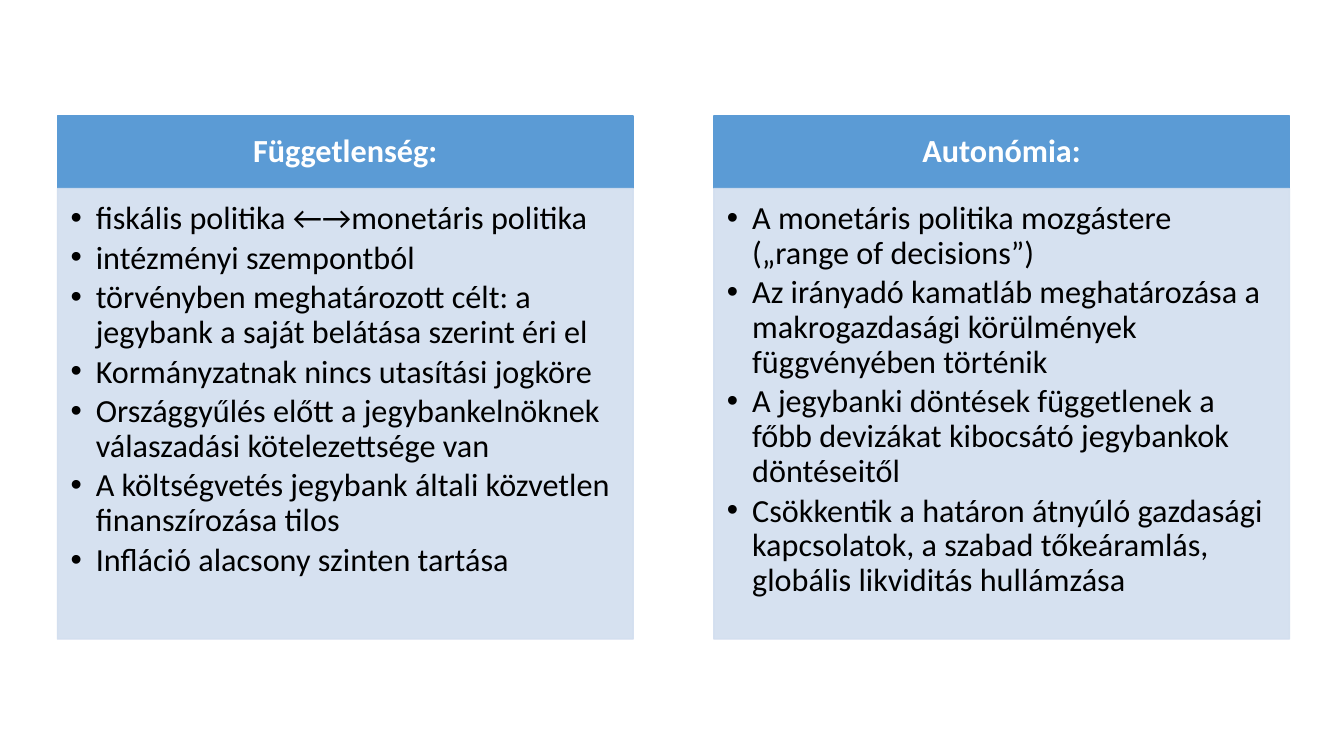
from pptx import Presentation
from pptx.dml.color import RGBColor
from pptx.enum.text import MSO_ANCHOR as Anchor, MSO_AUTO_SIZE as AutoSize, PP_ALIGN as Align
from pptx.oxml.ns import qn
from pptx.util import Inches, Pt
from lxml.etree import SubElement

BLUE = RGBColor(0x5B, 0x9B, 0xD5)
PALE_BLUE = RGBColor(0xD2, 0xDE, 0xEF)
WHITE = RGBColor(0xFF, 0xFF, 0xFF)
BLACK = RGBColor(0x00, 0x00, 0x00)

LEFT, COLUMN_STEP, WIDTH = 0.57, 6.51, 5.71
HEADER_TOP, HEADER_HEIGHT, LIST_HEIGHT = 1.15, 0.72, 4.47
COMPARISON_LAYOUT = 4

COLUMNS = [
    ("Függetlenség:", [
        "fiskális politika ←→monetáris politika",
        "intézményi szempontból",
        "törvényben meghatározott célt: a jegybank a saját belátása szerint éri el",
        "Kormányzatnak nincs utasítási jogköre",
        "Országgyűlés előtt a jegybankelnöknek válaszadási kötelezettsége van",
        "A költségvetés jegybank általi közvetlen finanszírozása tilos",
        "Infláció alacsony szinten tartása",
    ]),
    ("Autonómia:", [
        "A monetáris politika mozgástere („range of decisions”)",
        "Az irányadó kamatláb meghatározása a makrogazdasági körülmények függvényében történik",
        "A jegybanki döntések függetlenek a főbb devizákat kibocsátó jegybankok döntéseitől",
        "Csökkentik a határon átnyúló gazdasági kapcsolatok, a szabad tőkeáramlás, "
        "globális likviditás hullámzása",
    ]),
]


def format_panel(shape, box, color, margins, anchor):
    """Place a placeholder and give it fill, outline and text margins."""
    shape.left, shape.top, shape.width, shape.height = map(Inches, box)
    shape.fill.solid()
    shape.fill.fore_color.rgb = color
    shape.line.color.rgb = color
    shape.line.width = Pt(1)
    frame = shape.text_frame
    frame.word_wrap = True
    frame.auto_size = AutoSize.NONE
    frame.vertical_anchor = anchor
    (frame.margin_left, frame.margin_top,
     frame.margin_right, frame.margin_bottom) = map(Inches, margins)


def set_opacity(shape, percent):
    """Make the fill and the outline partly transparent."""
    for color in shape._element.spPr.iter(qn("a:srgbClr")):
        SubElement(color, qn("a:alpha"), val=str(percent * 1000))


def add_bullet(paragraph):
    properties = paragraph._p.get_or_add_pPr()
    properties.set("marL", str(Inches(0.25)))
    properties.set("indent", str(-Inches(0.25)))
    SubElement(properties, qn("a:buFont"), typeface="Arial")
    SubElement(properties, qn("a:buChar"), char="•")


def write_text(paragraph, text, color, space_after, bold=False):
    paragraph.line_spacing = 0.9
    paragraph.space_before = Pt(0)
    paragraph.space_after = Pt(space_after)
    run = paragraph.add_run()
    run.text = text
    run.font.name = "Calibri"
    run.font.size = Pt(23)
    run.font.bold = bold
    run.font.color.rgb = color


def fill_header(shape, left, text):
    format_panel(shape, (left, HEADER_TOP, WIDTH, HEADER_HEIGHT), BLUE,
                 (0.18, 0.1, 0.18, 0.1), Anchor.MIDDLE)
    paragraph = shape.text_frame.paragraphs[0]
    paragraph.alignment = Align.CENTER
    write_text(paragraph, text, WHITE, 8, bold=True)


def fill_list(shape, left, items):
    format_panel(shape, (left, HEADER_TOP + HEADER_HEIGHT, WIDTH, LIST_HEIGHT), PALE_BLUE,
                 (0.13, 0.13, 0.18, 0.2), Anchor.TOP)
    set_opacity(shape, 90)
    frame = shape.text_frame
    for index, item in enumerate(items):
        paragraph = frame.add_paragraph() if index else frame.paragraphs[0]
        paragraph.level = 1
        add_bullet(paragraph)
        write_text(paragraph, item, BLACK, 3.45)


def main():
    presentation = Presentation()
    presentation.slide_width = Inches(13.33)
    presentation.slide_height = Inches(7.5)
    slide = presentation.slides.add_slide(presentation.slide_layouts[COMPARISON_LAYOUT])

    # The slide has no title
    title, *panels = slide.placeholders
    title._element.getparent().remove(title._element)

    # Two columns, each a header above a list
    for index, (heading, items) in enumerate(COLUMNS):
        left = LEFT + index * COLUMN_STEP
        header, body = panels[2 * index:2 * index + 2]
        fill_header(header, left, heading)
        fill_list(body, left, items)

    presentation.save("out.pptx")


if __name__ == "__main__":
    main()
